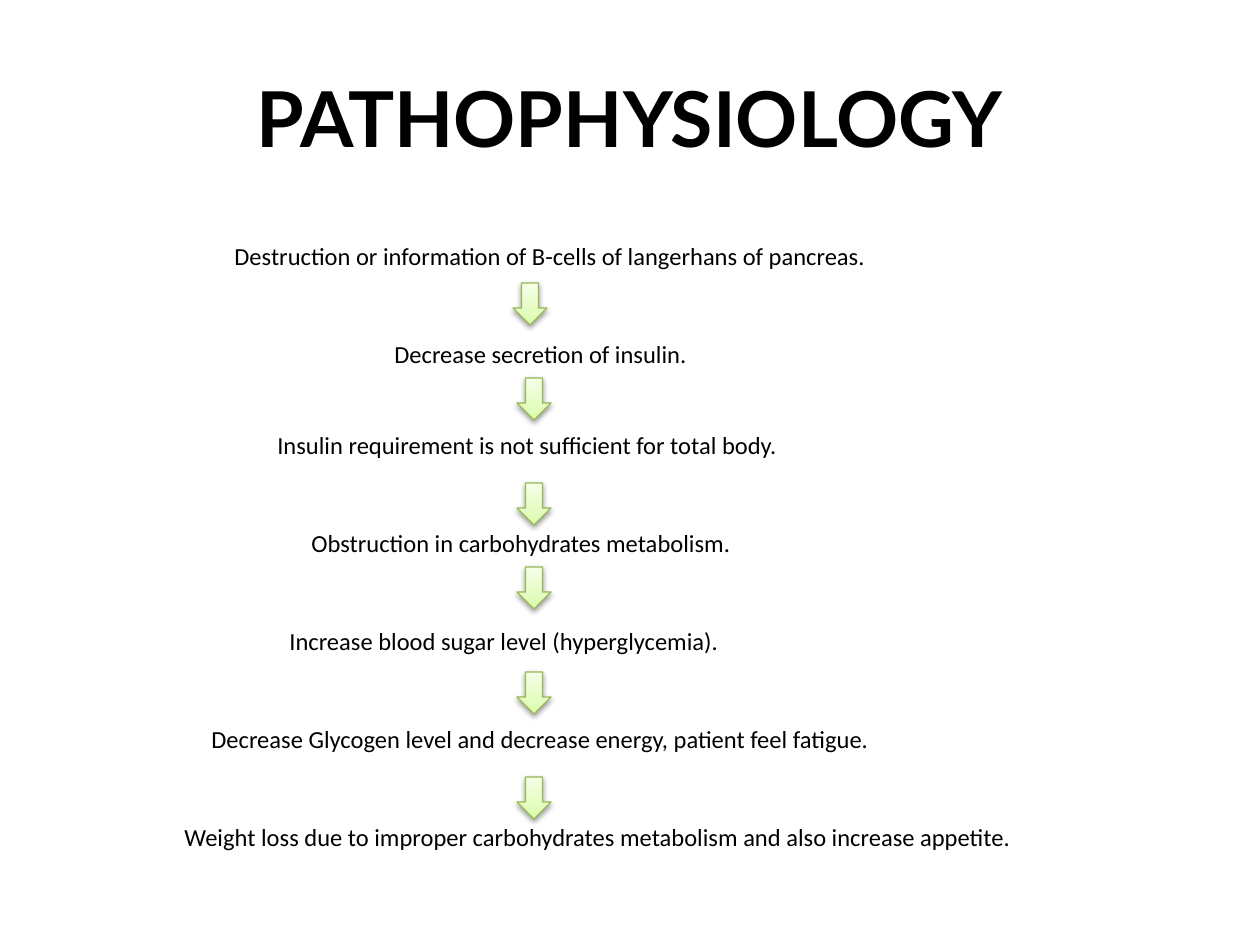
"""Build the pathophysiology flow slide."""
from dataclasses import dataclass

from lxml import etree
from pptx import Presentation
from pptx.dml.color import RGBColor
from pptx.enum.shapes import MSO_SHAPE
from pptx.enum.text import MSO_ANCHOR, PP_ALIGN
from pptx.oxml.ns import qn
from pptx.slide import Slide
from pptx.util import Emu, Pt

DOWN_ARROW = MSO_SHAPE.DOWN_ARROW
MIDDLE, TOP = MSO_ANCHOR.MIDDLE, MSO_ANCHOR.TOP
CENTER, LEFT = PP_ALIGN.CENTER, PP_ALIGN.LEFT
EMU_PER_PX = 914400 / 126
COLORS = {
    "text": "000000",
    "arrow_line": "98B955",
    "arrow_base": "DAFDA7",
    "arrow_middle": "E4FCC2",
    "arrow_top": "F5FFE7",
    "shadow": "000000",
}
ARROW_STOPS = [(0, "arrow_base"), (35, "arrow_middle"), (100, "arrow_top")]
ARROW_SIZE = (34, 42)
ARROW_POSITIONS = [(513, 283)] + [(517, top) for top in (378, 483, 567, 672, 777)]
STEP_GAP, SHORT_GAP = 30.8, 26.6
STEPS = [
    ("Destruction or information of B-cells of langerhans of pancreas.", 117, 0),
    ("Decrease secretion of insulin.", 277, STEP_GAP),
    ("Insulin requirement is not sufficient for total body.", 160, SHORT_GAP),
    ("Obstruction in carbohydrates metabolism.", 194, STEP_GAP),
    ("Increase blood sugar level (hyperglycemia).", 172, STEP_GAP),
    ("Decrease Glycogen level and decrease energy, patient feel fatigue.", 94, STEP_GAP),
    ("Weight loss due to improper carbohydrates metabolism and also increase appetite.", 67, STEP_GAP),
]


def px(length):
    """Turn pixels into EMU."""
    return Emu(round(length * EMU_PER_PX))


def add_color(parent, color):
    """Append a named colour to an XML element."""
    return etree.SubElement(parent, qn("a:srgbClr"), val=COLORS[color])


@dataclass
class SlideBuilder:
    """Holds the text style and the current slide."""

    slide: Slide
    title_font: str = "Lato"
    body_font: str = "Calibri"
    title_size: int = 44
    body_size: int = 14

    def add_frame(self, left, top, width, height, anchor):
        """Add a wrapping text box and return its text frame."""
        box = self.slide.shapes.add_textbox(px(left), px(top), px(width), px(height))
        frame = box.text_frame
        frame.word_wrap = True
        frame.vertical_anchor = anchor
        return frame

    def add_run(self, paragraph, text, font_name, size, bold=False):
        """Add one styled run to a paragraph."""
        run = paragraph.add_run()
        run.text = text
        run.font.name = font_name
        run.font.size = Pt(size)
        run.font.bold = bold
        run.font.color.rgb = RGBColor.from_string(COLORS["text"])

    def add_title(self, text, left, top, width, height):
        """Add the centred title."""
        paragraph = self.add_frame(left, top, width, height, MIDDLE).paragraphs[0]
        paragraph.alignment = CENTER
        self.add_run(paragraph, text, self.title_font, self.title_size, bold=True)

    def add_steps(self, steps, left, top, width, height):
        """Add the steps as indented, spaced paragraphs."""
        frame = self.add_frame(left, top, width, height, TOP)
        for index, (text, indent, space_before) in enumerate(steps):
            paragraph = frame.add_paragraph() if index else frame.paragraphs[0]
            paragraph.alignment = LEFT
            paragraph.line_spacing = 1.5
            paragraph.space_before = Pt(space_before)
            properties = paragraph._p.get_or_add_pPr()
            properties.set("marL", str(px(indent)))
            properties.set("indent", "0")
            self.add_run(paragraph, text, self.body_font, self.body_size)

    def add_arrow(self, left, top, width, height):
        """Add a shaded down arrow with a soft shadow."""
        shape = self.slide.shapes.add_shape(DOWN_ARROW, px(left), px(top), px(width), px(height))
        shape.fill.gradient()
        shape.fill.gradient_angle = 90
        shape.line.color.rgb = RGBColor.from_string(COLORS["arrow_line"])
        shape.line.width = Pt(0.75)
        shape.shadow.inherit = False
        properties = shape._element.spPr
        stops = properties.find(".//" + qn("a:gsLst"))
        for stop in list(stops):
            stops.remove(stop)
        for position, color in ARROW_STOPS:
            add_color(etree.SubElement(stops, qn("a:gs"), pos=str(position * 1000)), color)
        shadow = etree.SubElement(
            properties.find(qn("a:effectLst")), qn("a:outerShdw"),
            blurRad=str(Pt(3.1)), dist=str(Pt(1.6)), dir="5400000", rotWithShape="0",
        )
        etree.SubElement(add_color(shadow, "shadow"), qn("a:alpha"), val="38000")


def main():
    """Create and save the presentation."""
    presentation = Presentation()
    presentation.slide_width, presentation.slide_height = px(1260), px(945)
    slide = presentation.slides.add_slide(presentation.slide_layouts[6])
    builder = SlideBuilder(slide)
    builder.add_title("PATHOPHYSIOLOGY", 63, 38, 1134, 158)
    builder.add_steps(STEPS, 105, 220, 1134, 672)
    for left, top in ARROW_POSITIONS:
        builder.add_arrow(left, top, *ARROW_SIZE)
    presentation.save("out.pptx")


if __name__ == "__main__":
    main()
